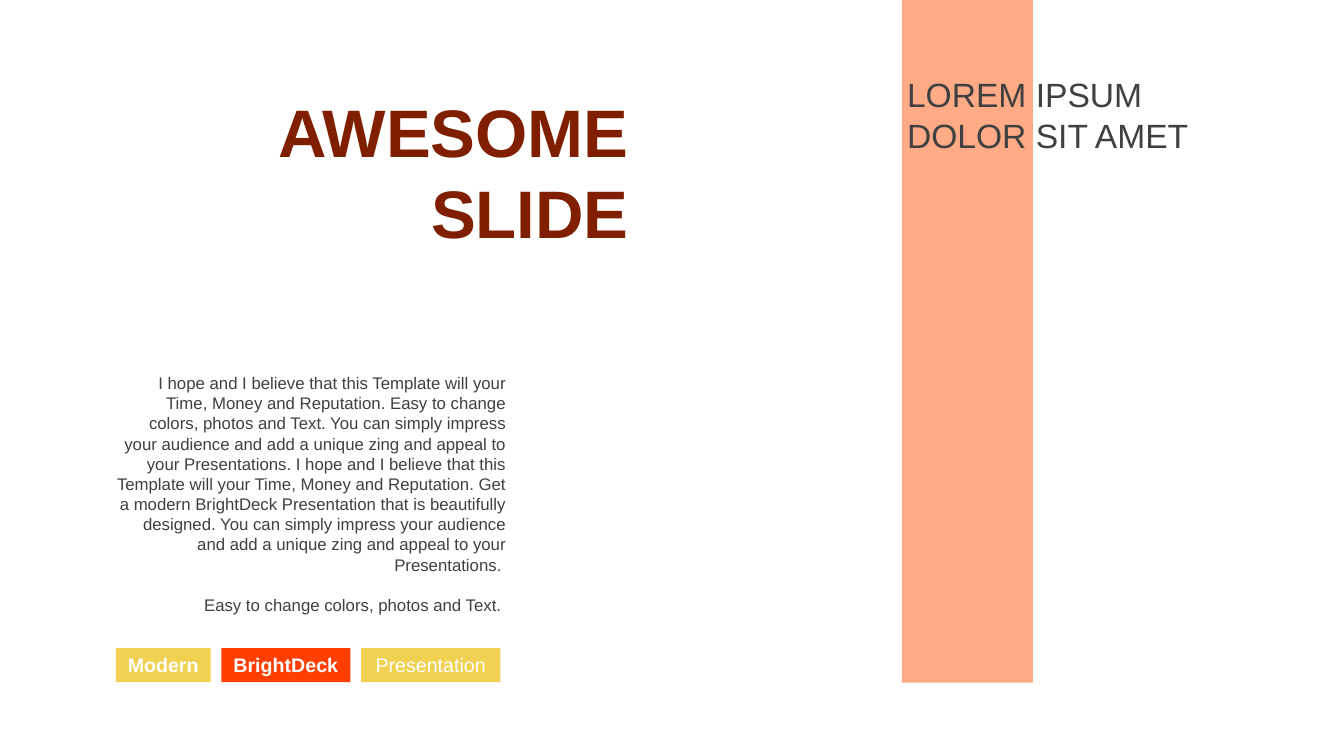
from dataclasses import dataclass
from lxml.etree import SubElement
from pptx import Presentation
from pptx.dml.color import RGBColor as Rgb
from pptx.enum.shapes import MSO_SHAPE as Shape
from pptx.enum.text import MSO_ANCHOR as Anchor, PP_ALIGN as Align
from pptx.oxml.ns import qn
from pptx.util import Cm, Pt


@dataclass(frozen=True)
class Theme:
    font: str = "Arial"
    title: str = "801F00"
    ink: str = "404040"
    white: str = "FFFFFF"
    red: str = "FF3F02"
    gold: str = "F0D152"
    peach: str = "FF8853"
    big: int = 48
    head: int = 24
    tag: int = 14
    body: int = 12


class Page:
    def __init__(self, slide, theme):
        self.slide = slide
        self.theme = theme

    def style(self, frame, text, size, color, align, bold=False, gap=0):
        frame.text = text
        for spot, para in enumerate(frame.paragraphs):
            para.alignment = align
            if spot and gap:
                para.space_before = Pt(gap)
            for run in para.runs:
                run.font.name = self.theme.font
                run.font.size = Pt(size)
                run.font.bold = bold
                run.font.color.rgb = Rgb.from_string(color)

    def label(self, box, text, size, color, align,
              anchor=Anchor.TOP, bold=False, gap=0):
        frame = self.slide.shapes.add_textbox(*map(Cm, box)).text_frame
        frame.word_wrap = True
        frame.vertical_anchor = anchor
        self.style(frame, text, size, color, align, bold, gap)

    def block(self, box, color, alpha=None):
        shape = self.slide.shapes.add_shape(Shape.RECTANGLE, *map(Cm, box))
        shape.shadow.inherit = False
        shape.line.fill.background()
        shape.fill.solid()
        shape.fill.fore_color.rgb = Rgb.from_string(color)
        if alpha is not None:
            tint = shape.element.spPr.find(f".//{qn('a:srgbClr')}")
            SubElement(tint, qn("a:alpha"), val=str(alpha * 1000))
        return shape

    def tags(self, left, top, height, gap, items):
        for text, width, color, bold in items:
            shape = self.block((left, top, width, height), color)
            frame = shape.text_frame
            frame.word_wrap = False
            self.style(frame, text, self.theme.tag, self.theme.white,
                       Align.CENTER, bold)
            left += width + gap


def main():
    deck = Presentation()
    deck.slide_width, deck.slide_height = Cm(33.87), Cm(19.05)
    theme = Theme()
    page = Page(deck.slides.add_slide(deck.slide_layouts[6]), theme)

    page.label((6.2, 2.13, 9.9, 4.37), "AWESOME\nSLIDE", theme.big,
               theme.title, Align.RIGHT, Anchor.MIDDLE, bold=True)
    page.label(
        (2.62, 9.27, 10.39, 6.4),
        "I hope and I believe that this Template will your Time, Money and "
        "Reputation. Easy to change colors, photos and Text. You can simply "
        "impress your audience and add a unique zing and appeal to your "
        "Presentations. I hope and I believe that this Template will your "
        "Time, Money and Reputation. Get a modern BrightDeck Presentation "
        "that is beautifully designed. You can simply impress your audience "
        "and add a unique zing and appeal to your Presentations. \n"
        "Easy to change colors, photos and Text. ",
        theme.body, theme.ink, Align.RIGHT, gap=14.4)
    page.tags(2.92, 16.33, 0.86, 0.27, [
        ("Modern", 2.39, theme.gold, True),
        ("BrightDeck", 3.25, theme.red, True),
        ("Presentation", 3.51, theme.gold, False),
    ])
    page.block((22.73, 0, 3.3, 17.2), theme.peach, alpha=70)
    page.label((22.61, 1.73, 7.87, 2.31), "LOREM IPSUM\nDOLOR SIT AMET",
               theme.head, theme.ink, Align.LEFT, Anchor.MIDDLE)
    deck.save("out.pptx")


if __name__ == "__main__":
    main()
